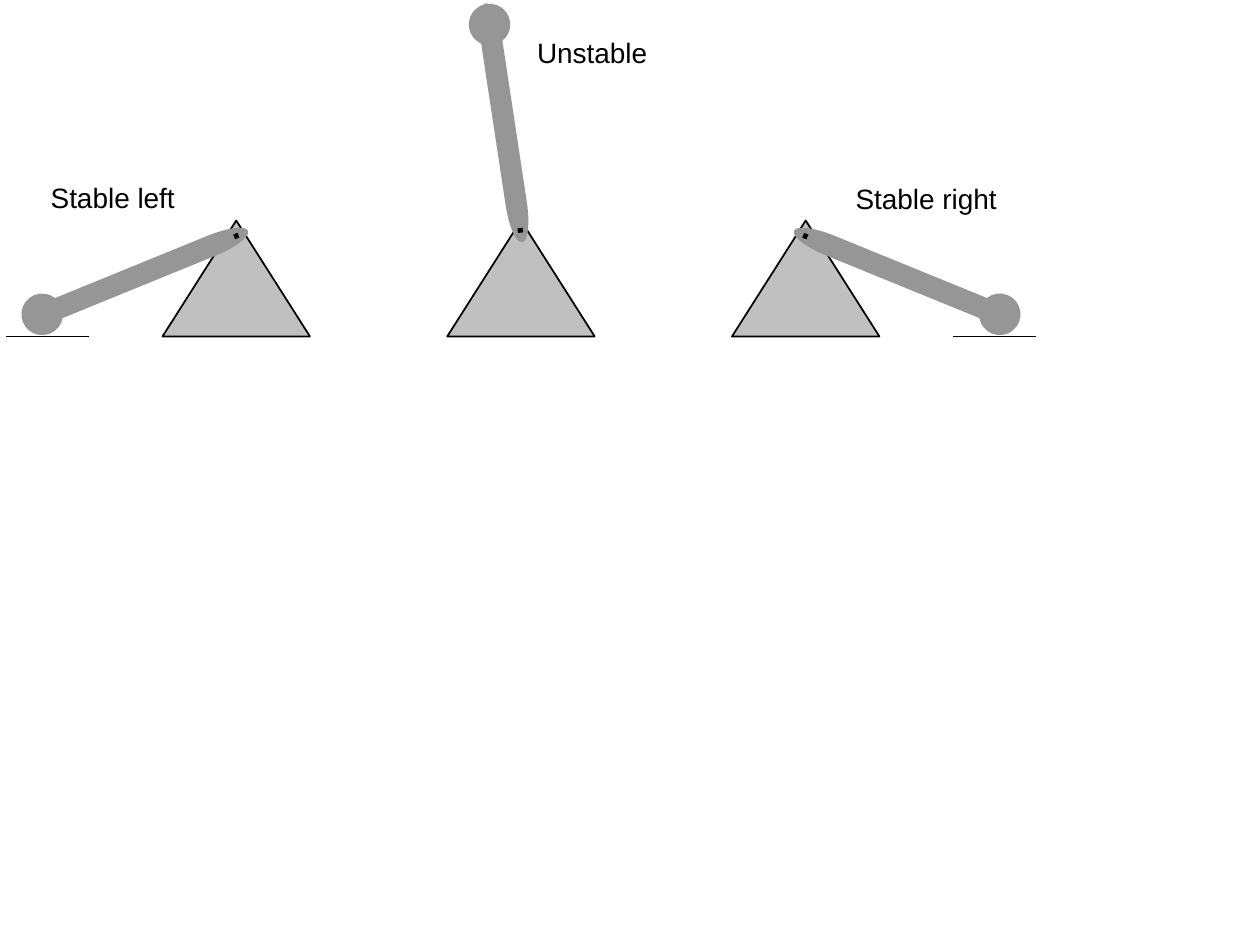
from lxml import etree
from pptx import Presentation
from pptx.dml.color import RGBColor
from pptx.enum import shapes, text
from pptx.oxml.ns import qn
from pptx.util import Inches, Pt

BLACK = RGBColor(0, 0, 0)
LEVER_GREY = RGBColor(0x96, 0x96, 0x96)
BASE_GREY = RGBColor(0xC0, 0xC0, 0xC0)

FIRST_APEX, SPACING = 1.875, 2.26
GROUND = 2.67
BASE_SIZE, LEVER_SIZE, BALL_SIZE, PIVOT_SIZE = (1.17, 0.92), (1.92, 0.17), (0.33, 0.33), (0.31, 0.57)
REST_LINE = (-1.83, -1.165)

FALLEN = {"angle": -22.2, "lever": (-0.795, 2.195), "ball": (-1.54, 2.495), "pivot": (-0.05, 1.755)}
UPRIGHT = {"angle": 81.4, "lever": (-0.135, 0.975), "ball": (-0.25, 0.195), "pivot": (0.13, 1.815)}
STATES = [
    ("Stable left", (0.895, 1.565), (1.19, 0.37), FALLEN, 1, True),
    ("Unstable", (4.7, 0.415), (1.08, 0.37), UPRIGHT, 1, False),
    ("Stable right", (7.35, 1.575), (1.32, 0.37), FALLEN, -1, True),
]


def corner_box(center, size):
    return [Inches(c - s / 2) for c, s in zip(center, size)] + [Inches(s) for s in size]


def add_part(parent, kind, center, size, color, angle=0, outlined=False):
    part = parent.add_shape(kind, *corner_box(center, size))
    part.shadow.inherit = False
    part.rotation = angle
    part.fill.solid()
    part.fill.fore_color.rgb = color
    if outlined:
        part.line.color.rgb = BLACK
        part.line.width = Pt(1)
    else:
        part.line.fill.background()


def add_text(parent, words, center, size, points, angle=0):
    box = parent.add_textbox(*corner_box(center, size))
    box.rotation = angle
    frame = box.text_frame
    frame.text = words
    frame.word_wrap = False
    frame.auto_size = text.MSO_AUTO_SIZE.SHAPE_TO_FIT_TEXT
    frame.vertical_anchor = text.MSO_ANCHOR.MIDDLE
    para = frame.paragraphs[0]
    para.alignment = text.PP_ALIGN.CENTER
    font = para.runs[0].font
    font.name, font.size = "Arial", Pt(points)
    font.color.rgb = BLACK


def add_ground(parent, start, end):
    ground = parent.add_connector(
        shapes.MSO_CONNECTOR.STRAIGHT, Inches(start), Inches(GROUND), Inches(end), Inches(GROUND))
    ground.line.color.rgb = BLACK
    ground.line.width = Pt(1)
    etree.SubElement(ground._element.spPr, qn("a:effectLst"))


def add_balance(parent, apex, pose, side, resting):
    def place(name):
        offset, y = pose[name]
        return apex + side * offset, y

    angle = side * pose["angle"]
    kinds = shapes.MSO_SHAPE
    add_part(parent, kinds.ISOSCELES_TRIANGLE, (apex, GROUND - BASE_SIZE[1] / 2), BASE_SIZE,
             BASE_GREY, outlined=True)
    add_part(parent, kinds.FLOWCHART_TERMINATOR, place("lever"), LEVER_SIZE, LEVER_GREY, angle)
    add_part(parent, kinds.OVAL, place("ball"), BALL_SIZE, LEVER_GREY, angle)
    add_text(parent, ".", place("pivot"), PIVOT_SIZE, 28, angle)
    if resting:
        add_ground(parent, *[apex + side * x for x in REST_LINE])


def main():
    deck = Presentation()
    deck.slide_width, deck.slide_height = Inches(10), Inches(7.5)
    page = deck.slides.add_slide(deck.slide_layouts[6])
    for column, (label, center, size, pose, side, resting) in enumerate(STATES):
        group = page.shapes.add_group_shape()
        add_balance(group.shapes, FIRST_APEX + column * SPACING, pose, side, resting)
        add_text(page.shapes, label, center, size, 16)
    deck.save("out.pptx")


if __name__ == "__main__":
    main()
